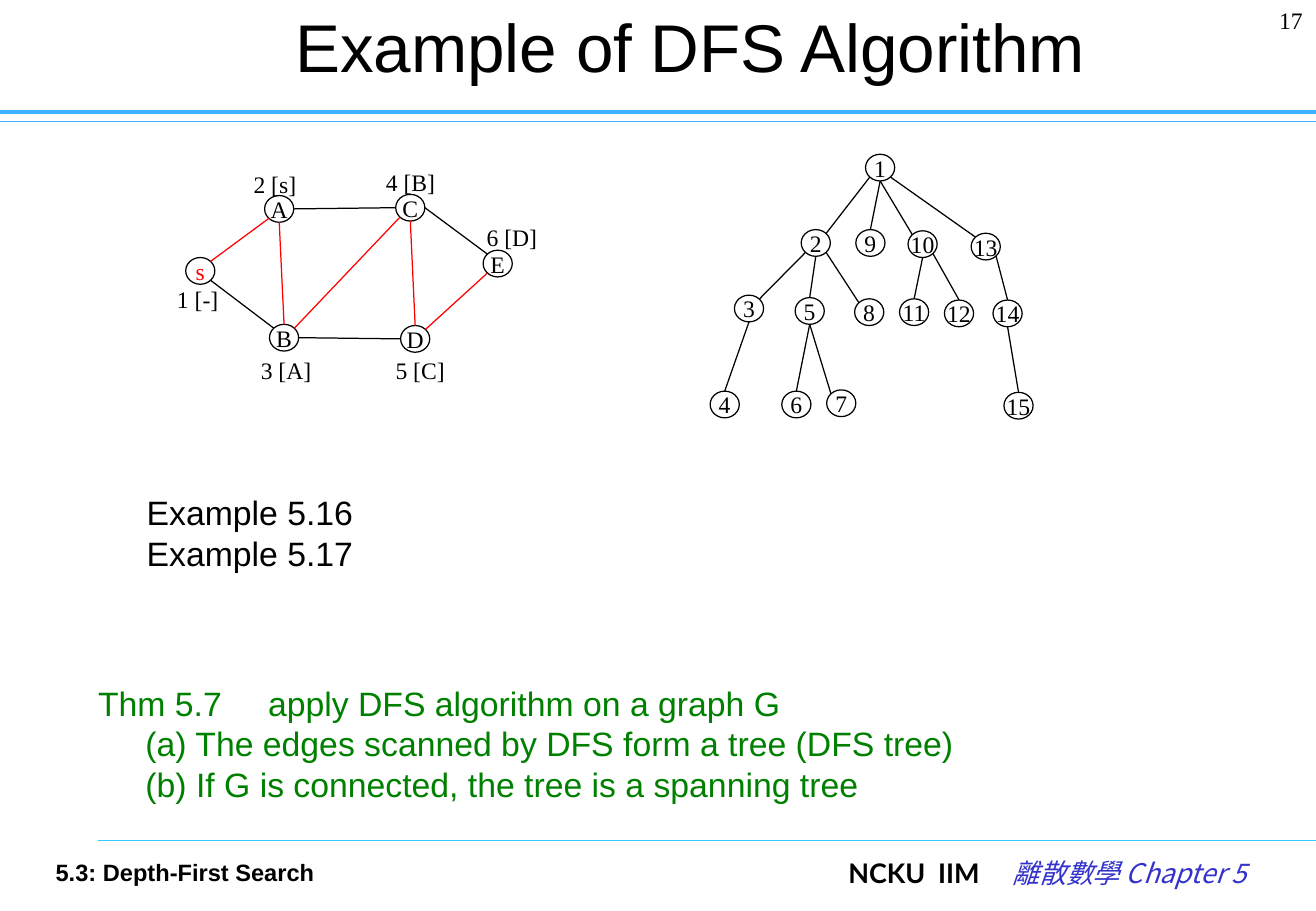
from dataclasses import dataclass
from math import cos, radians, sin

from lxml.etree import SubElement as Sub
from pptx import Presentation
from pptx.dml.color import RGBColor
from pptx.enum.shapes import MSO_CONNECTOR as Wire, MSO_SHAPE as Form
from pptx.enum.text import MSO_ANCHOR as Anchor, PP_ALIGN as Align
from pptx.oxml.ns import qn
from pptx.slide import Slide
from pptx.text.text import TextFrame as Frame
from pptx.util import Inches, Pt

BLACK = RGBColor(0x00, 0x00, 0x00)
RED = RGBColor(0xFF, 0x00, 0x00)
GREEN = RGBColor(0x00, 0x80, 0x00)
BLUE = RGBColor(0x33, 0x33, 0xCC)
SKY = RGBColor(0x3D, 0xB0, 0xFF)
AQUA = RGBColor(0x33, 0xCC, 0xFF)
SERIF, SANS, LATO, CJK = "Times New Roman", "Arial", "Lato", "Noto Sans CJK SC"
WIDE, HIGH = 0.24, 0.22
TOP, TOP_LEFT, LEFT, LOW_LEFT, LOW, LOW_RIGHT, RIGHT, TOP_RIGHT = range(8)


@dataclass(frozen=True)
class Node:
    name: str
    left: float
    top: float
    color: RGBColor = BLACK

    def spot(self, site: int) -> tuple[float, float]:
        """Return one of eight points on the rim, from the top leftward."""
        turn = radians(90 + 45 * site)
        return (self.left + WIDE / 2 * (1 + cos(turn)),
                self.top + HIGH / 2 * (1 - sin(turn)))


@dataclass(frozen=True)
class Edge:
    start: str
    out: int
    end: str
    into: int
    color: RGBColor = BLACK


@dataclass(frozen=True)
class Label:
    text: str
    left: float
    top: float
    width: float = 0.8
    height: float = 0.34
    size: float = 14
    font: str = SERIF
    color: RGBColor = BLACK
    bold: bool = False
    align: Align = Align.LEFT
    anchor: Anchor = Anchor.TOP


GRAPH = [
    Node("A", 2.18, 1.61), Node("s", 1.53, 2.12, RED), Node("C", 3.26, 1.6),
    Node("B", 2.22, 2.67), Node("D", 3.3, 2.68), Node("E", 3.98, 2.06),
]
LINKS = [
    Edge("A", LOW, "B", TOP, RED), Edge("s", LOW_RIGHT, "B", TOP_LEFT),
    Edge("B", TOP_RIGHT, "C", LOW_LEFT, RED), Edge("B", RIGHT, "D", LEFT),
    Edge("A", RIGHT, "C", LEFT), Edge("C", RIGHT, "E", TOP_LEFT),
    Edge("s", TOP_RIGHT, "A", LOW_LEFT, RED), Edge("C", LOW, "D", TOP, RED),
    Edge("E", LOW_LEFT, "D", TOP_RIGHT, RED),
]
TREE = [
    Node("1", 7.13, 1.27), Node("2", 6.6, 1.89), Node("9", 7.05, 1.89),
    Node("10", 7.48, 1.9), Node("13", 8, 1.92), Node("3", 6.05, 2.43),
    Node("5", 6.55, 2.45), Node("8", 7.04, 2.46), Node("11", 7.41, 2.46),
    Node("12", 7.78, 2.47), Node("14", 8.18, 2.47), Node("4", 5.85, 3.22),
    Node("6", 6.44, 3.22), Node("7", 6.81, 3.21), Node("15", 8.27, 3.23),
]
LIMBS = [
    Edge("1", LOW_LEFT, "2", TOP_RIGHT), Edge("2", LOW_LEFT, "3", TOP_RIGHT),
    Edge("3", LOW, "4", TOP), Edge("2", LOW, "5", TOP),
    Edge("5", LOW, "6", TOP), Edge("5", LOW, "7", TOP_LEFT),
    Edge("2", LOW_RIGHT, "8", TOP_LEFT), Edge("1", LOW, "9", TOP),
    Edge("1", LOW, "10", TOP_LEFT), Edge("10", LOW, "11", TOP),
    Edge("10", LOW_RIGHT, "12", TOP), Edge("1", LOW_RIGHT, "13", TOP_LEFT),
    Edge("13", LOW_RIGHT, "14", TOP), Edge("14", LOW, "15", TOP),
]
LABELS = [
    Label("17", 9.93, 0, 0.9, 0.5, align=Align.RIGHT),
    Label("Example of DFS Algorithm", 1.44, 0, 8.49, 0.75, 40, SANS,
          align=Align.CENTER, anchor=Anchor.MIDDLE),
    Label("4 [B]", 3.08, 1.33), Label("2 [s]", 1.99, 1.35),
    Label("5 [C]", 3.16, 2.88), Label("6 [D]", 3.91, 1.79),
    Label("3 [A]", 2.05, 2.88), Label("1 [-]", 1.36, 2.3),
    Label("Example 5.16\nExample 5.17", 1.11, 4, 2.1, 0.77, 20, SANS),
    Label("5.3: Depth-First Search", 0.36, 7.01, 2.6, font=SANS, bold=True),
]
THEOREM = Label(
    "Thm 5.7\tapply DFS algorithm on a graph G\n"
    "(a) The edges scanned by DFS form a tree (DFS tree)\n"
    "(b) If G is connected, the tree is a spanning tree",
    0.71, 5.57, 7.6, 1.1, 20, SANS, GREEN)
FOOTER = Label("NCKU\tIIM\t", 6.89, 7, 3.8, 0.5, 16, LATO, bold=True)


def style(frame: Frame, size: float, font: str, color: RGBColor,
          bold: bool = False, align: Align = Align.LEFT) -> None:
    """Format every run in a frame."""
    for para in frame.paragraphs:
        para.alignment = align
        for run in para.runs:
            run.font.size, run.font.name, run.font.bold = Pt(size), font, bold
            run.font.color.rgb = color


def write(slide: Slide, label: Label) -> Frame:
    """Add a text box and return its frame."""
    box = slide.shapes.add_textbox(Inches(label.left), Inches(label.top),
                                   Inches(label.width), Inches(label.height))
    frame = box.text_frame
    frame.text = label.text
    frame.word_wrap, frame.vertical_anchor = True, label.anchor
    style(frame, label.size, label.font, label.color, label.bold, label.align)
    return frame


def set_tabs(frame: Frame, *stops: float) -> None:
    """Put left tab stops on the first paragraph."""
    tabs = Sub(frame.paragraphs[0]._p.get_or_add_pPr(), qn("a:tabLst"))
    for stop in stops:
        Sub(tabs, qn("a:tab"), pos=str(Inches(stop)), algn="l")


def rule(slide: Slide, start: tuple[float, float], end: tuple[float, float],
         color: RGBColor, width: float = 0.75) -> None:
    """Draw a straight line."""
    line = slide.shapes.add_connector(
        Wire.STRAIGHT, *(Inches(part) for part in (*start, *end)))
    line.line.color.rgb, line.line.width = color, Pt(width)
    Sub(line._element.spPr, qn("a:effectLst"))


def draw(slide: Slide, nodes: list[Node], edges: list[Edge]) -> None:
    """Draw a graph of round nodes joined by edges."""
    for node in nodes:
        disc = slide.shapes.add_shape(
            Form.FLOWCHART_CONNECTOR, Inches(node.left), Inches(node.top),
            Inches(WIDE), Inches(HIGH))
        disc.shadow.inherit = False
        disc.fill.background()
        disc.line.color.rgb, disc.line.width = BLACK, Pt(0.75)
        frame = disc.text_frame
        frame.text, frame.word_wrap = node.name, False
        frame.vertical_anchor = Anchor.MIDDLE
        style(frame, 14, SERIF, node.color, align=Align.CENTER)
    named = {node.name: node for node in nodes}
    for edge in edges:
        rule(slide, named[edge.start].spot(edge.out),
             named[edge.end].spot(edge.into), edge.color)


def main() -> None:
    """Build the slide and save it."""
    deck = Presentation()
    deck.slide_width, deck.slide_height = Inches(10.84), Inches(7.5)
    slide = deck.slides.add_slide(deck.slide_layouts[6])
    rule(slide, (0, 1), (10.84, 1), SKY)
    rule(slide, (0, 0.92), (10.84, 0.92), SKY, 2.5)
    rule(slide, (0.81, 6.92), (10.84, 6.92), AQUA)
    draw(slide, GRAPH, LINKS)
    draw(slide, TREE, LIMBS)
    for label in LABELS:
        write(slide, label)
    claim = write(slide, THEOREM)
    set_tabs(claim, 1.4)
    for para in claim.paragraphs[1:]:
        para._p.get_or_add_pPr().set("marL", str(Inches(0.39)))
    foot = write(slide, FOOTER)
    set_tabs(foot, 0.74, 1.35)
    run = foot.paragraphs[0].add_run()
    run.text = "離散數學 Chapter 5"
    run.font.size, run.font.name, run.font.italic = Pt(16), CJK, True
    run.font.color.rgb = BLUE
    Sub(run.font._element, qn("a:ea"), typeface=CJK)
    deck.save("out.pptx")


if __name__ == "__main__":
    main()
